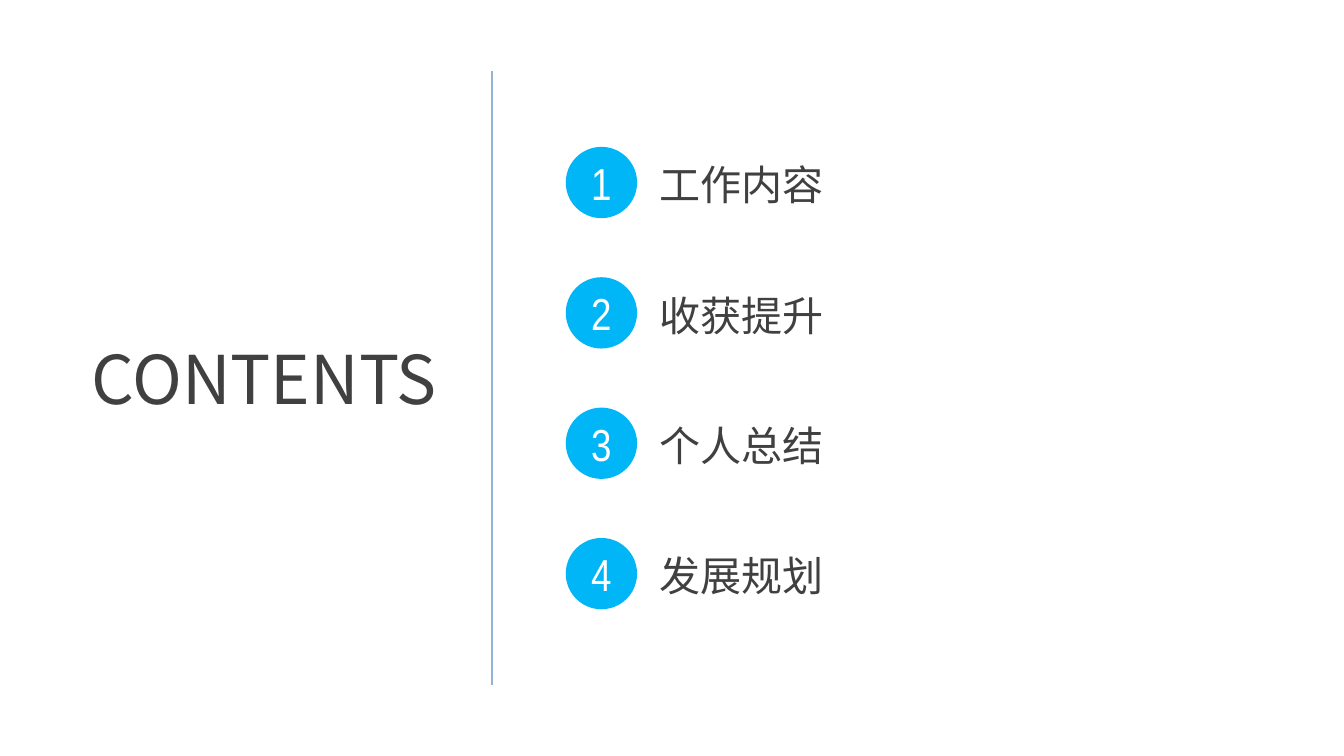
from dataclasses import dataclass

from lxml.etree import SubElement
from pptx import Presentation
from pptx.dml.color import RGBColor
from pptx.enum.shapes import MSO_CONNECTOR, MSO_SHAPE
from pptx.enum.text import MSO_ANCHOR, MSO_AUTO_SIZE, PP_ALIGN
from pptx.oxml.ns import qn
from pptx.util import Pt

TITLE = "CONTENTS"
TOPICS = ["工作内容", "收获提升", "个人总结", "发展规划"]


@dataclass(frozen=True)
class Theme:
    accent: RGBColor = RGBColor(0x00, 0xB6, 0xF6)
    ink: RGBColor = RGBColor(0x40, 0x40, 0x40)
    paper: RGBColor = RGBColor(0xFF, 0xFF, 0xFF)
    rule: RGBColor = RGBColor(0x95, 0xB3, 0xD7)
    text_font: str = "Noto Sans CJK SC"
    number_font: str = "Arial Narrow"
    title_size: int = 36
    number_size: int = 24
    topic_size: int = 22


THEME = Theme()
TITLE_BOX = (36.7, 177.1, 209.5, 51.1)
RULE_X, RULE_TOP, RULE_BOTTOM = 263.5, 38.2, 367.2
BADGE_LEFT, BADGE_TOP, BADGE_SIZE = 303.1, 78.7, 38.2
TOPIC_LEFT, TOPIC_OFFSET, TOPIC_WIDTH, TOPIC_HEIGHT = 346.3, 3.4, 103.7, 33.8
ROW_STEP = 69.84


def set_all(target, values):
    for name, value in values.items():
        setattr(target, name, value)


def write(shape, text, font, size, color, align, frame_format):
    set_all(shape.text_frame, frame_format)
    paragraph = shape.text_frame.paragraphs[0]
    paragraph.alignment = align
    run = paragraph.add_run()
    run.text = text
    set_all(run.font, {"name": font, "size": Pt(size)})
    run.font.color.rgb = color
    SubElement(run.font._element, qn("a:ea")).set("typeface", font)


def add_label(slide, box, text, size, align):
    label = slide.shapes.add_textbox(*map(Pt, box))
    frame_format = {"word_wrap": False, "auto_size": MSO_AUTO_SIZE.SHAPE_TO_FIT_TEXT}
    write(label, text, THEME.text_font, size, THEME.ink, align, frame_format)


def add_badge(slide, top, number):
    box = (BADGE_LEFT, top, BADGE_SIZE, BADGE_SIZE)
    badge = slide.shapes.add_shape(MSO_SHAPE.OVAL, *map(Pt, box))
    badge.shadow.inherit = False
    badge.fill.solid()
    badge.fill.fore_color.rgb = THEME.accent
    badge.line.fill.background()
    write(badge, str(number), THEME.number_font, THEME.number_size, THEME.paper,
          PP_ALIGN.CENTER, {"vertical_anchor": MSO_ANCHOR.MIDDLE})


def add_rule(slide):
    ends = (RULE_X, RULE_TOP, RULE_X, RULE_BOTTOM)
    rule = slide.shapes.add_connector(MSO_CONNECTOR.STRAIGHT, *map(Pt, ends))
    rule.line.color.rgb = THEME.rule
    rule.line.width = Pt(0.75)
    SubElement(rule._element.spPr, qn("a:effectLst"))


def main():
    """Build the contents slide."""
    presentation = Presentation()
    set_all(presentation, {"slide_width": Pt(720), "slide_height": Pt(405)})
    slide = presentation.slides.add_slide(presentation.slide_layouts[6])
    for index, topic in enumerate(TOPICS):
        top = BADGE_TOP + index * ROW_STEP
        add_badge(slide, top, index + 1)
        box = (TOPIC_LEFT, top + TOPIC_OFFSET, TOPIC_WIDTH, TOPIC_HEIGHT)
        add_label(slide, box, topic, THEME.topic_size, PP_ALIGN.LEFT)
    add_rule(slide)
    add_label(slide, TITLE_BOX, TITLE, THEME.title_size, PP_ALIGN.CENTER)
    presentation.save("out.pptx")


if __name__ == "__main__":
    main()
